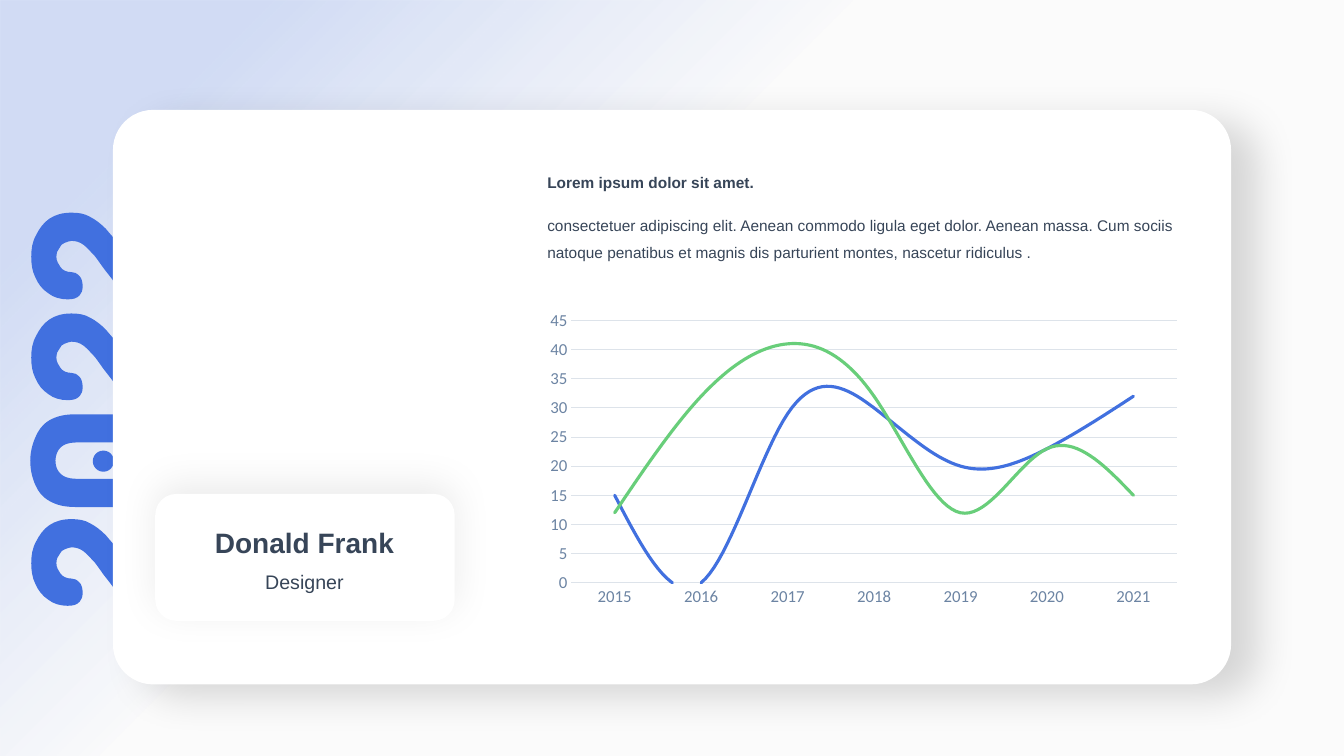
import lxml.etree
import pptx
import pptx.chart.data
import pptx.dml.color
import pptx.enum.chart
import pptx.enum.shapes
import pptx.enum.text
import pptx.oxml
import pptx.oxml.ns
import pptx.util

PX = 9144  # EMU in one px, 100 px to the inch
WIDTH, HEIGHT = 1333, 750
COLORS = {"back": "FBFBFB", "blue": "4170DF", "green": "68CE7A", "white": "FFFFFF",
          "ink": "374558", "axis": "6C84A3", "grid": "DDE3EA", "shadow": "000000"}
SHAPES = pptx.enum.shapes.MSO_SHAPE
ANCHOR = pptx.enum.text.MSO_ANCHOR
CENTER = pptx.enum.text.PP_ALIGN.CENTER
qn = pptx.oxml.ns.qn

# Outlines of the sideways digits: start point, then lines (2 numbers) or curves (6)
TWO = [[
    (31, 44), (31, 36, 32, 29, 36, 22), (39, 16, 43, 10, 49, 6), (55, 2, 62, 0, 71, 0),
    (78, 0, 84, 1, 89, 4), (95, 7, 100, 11, 105, 16), (109, 21, 113, 25, 117, 30),
    (120, 36, 124, 40, 127, 45), (130, 49, 133, 53, 135, 55), (138, 58, 141, 59, 144, 59),
    (147, 59), (147, 9), (147, 6, 148, 4, 150, 2), (153, 0, 156, 0, 159, 0),
    (162, 0, 165, 0, 168, 2), (170, 4, 172, 6, 172, 9), (172, 76),
    (172, 79, 171, 81, 169, 84), (167, 87, 165, 89, 162, 89), (144, 89),
    (139, 89, 134, 87, 129, 84), (125, 81, 120, 77, 116, 73), (113, 68, 109, 63, 105, 58),
    (101, 53, 98, 48, 94, 43), (90, 39, 87, 35, 83, 32), (79, 29, 75, 28, 71, 28),
    (69, 28, 67, 29, 64, 30), (62, 31, 60, 32, 59, 35), (57, 37, 56, 40, 56, 44),
    (56, 48, 58, 51, 60, 54), (62, 57, 66, 59, 71, 59), (74, 59, 76, 60, 79, 63),
    (81, 65, 82, 69, 82, 73), (82, 77, 81, 80, 79, 82), (76, 85, 73, 86, 67, 86),
    (60, 86, 53, 84, 48, 80), (42, 76, 38, 71, 35, 64), (32, 58, 31, 51, 31, 44),
]]
ZERO = [[
    (30, 46), (30, 38, 32, 30, 35, 23), (38, 16, 42, 10, 49, 6), (56, 2, 64, 0, 75, 0),
    (127, 0), (138, 0, 147, 2, 153, 6), (160, 10, 165, 16, 168, 23),
    (171, 30, 172, 38, 172, 46), (172, 55, 171, 63, 168, 70), (165, 76, 160, 82, 153, 86),
    (147, 90, 138, 92, 127, 92), (75, 92), (64, 92, 56, 90, 49, 86),
    (42, 82, 38, 77, 35, 70), (32, 63, 30, 55, 30, 46),
], [
    (55, 46), (55, 52, 57, 56, 60, 59), (63, 62, 68, 64, 75, 64), (127, 64),
    (134, 64, 139, 62, 143, 59), (146, 56, 147, 52, 147, 46), (147, 41, 146, 36, 142, 33),
    (139, 30, 134, 28, 127, 28), (75, 28), (68, 28, 63, 30, 60, 33), (57, 36, 55, 41, 55, 46),
]]


def rgb(name):
    return pptx.dml.color.RGBColor.from_string(COLORS[name])


def emu(*lengths):
    return [length * PX for length in lengths]


def paint(shape, color):
    shape.fill.solid()
    shape.fill.fore_color.rgb = rgb(color)
    shape.line.fill.background()
    shape.shadow.inherit = False


def add_block(page, kind, left, top, width, height, color):
    shape = page.shapes.add_shape(kind, *emu(left, top, width, height))
    paint(shape, color)
    return shape


def add_shadow(shape, alpha, blur, distance, angle):
    effects = shape._element.spPr.find(qn("a:effectLst"))
    effects.append(pptx.oxml.parse_xml(
        f'<a:outerShdw {pptx.oxml.ns.nsdecls("a")} blurRad="{blur * 12700}" '
        f'dist="{distance * 12700}" dir="{angle * 60000}" algn="ctr" rotWithShape="0">'
        f'<a:srgbClr val="{COLORS["shadow"]}"><a:alpha val="{alpha * 1000}"/></a:srgbClr>'
        f'</a:outerShdw>'))


def add_fade(page, stops, angle):
    """Cover the page with one colour whose opacity changes along the angle."""
    shape = add_block(page, SHAPES.RECTANGLE, 0, 0, WIDTH, HEIGHT, "blue")
    marks = "".join(
        f'<a:gs pos="{place * 1000}"><a:srgbClr val="{COLORS["blue"]}">'
        f'<a:alpha val="{alpha * 1000}"/></a:srgbClr></a:gs>' for place, alpha in stops)
    solid = shape._element.spPr.find(qn("a:solidFill"))
    solid.getparent().replace(solid, pptx.oxml.parse_xml(
        f'<a:gradFill {pptx.oxml.ns.nsdecls("a")}><a:gsLst>{marks}</a:gsLst>'
        f'<a:lin ang="{angle * 60000}" scaled="0"/></a:gradFill>'))


def add_digit(page, contours, top):
    """Build the outline from its end points, then bend the sides that are curves."""
    builder = page.shapes.build_freeform(*contours[0][0], scale=PX)
    for number, contour in enumerate(contours):
        if number:
            builder.move_to(*contour[0])
        builder.add_line_segments([segment[-2:] for segment in contour[1:]], close=True)
    shape = builder.convert_to_shape(0, top * PX)
    paint(shape, "blue")
    left = min(segment[-2] for segment in contours[0])
    segments = [segment for contour in contours for segment in contour[1:]]
    for side, segment in zip(list(shape._element.iter(qn("a:lnTo"))), segments):
        if len(segment) == 6:
            curve = lxml.etree.Element(qn("a:cubicBezTo"))
            for x, y in zip(segment[::2], segment[1::2]):
                lxml.etree.SubElement(curve, qn("a:pt"), x=str(x - left), y=str(y))
            side.getparent().replace(side, curve)


def add_box(page, left, top, width, height):
    return page.shapes.add_textbox(*emu(left, top, width, height))


def write(box, text, size, bold=False, align=None, spacing=1.0, before=0,
          anchor=ANCHOR.TOP, more=False):
    """Write one paragraph, as a further one when more is set."""
    frame = box.text_frame
    frame.word_wrap = True
    frame.auto_size = pptx.enum.text.MSO_AUTO_SIZE.SHAPE_TO_FIT_TEXT
    frame.vertical_anchor = anchor
    para = frame.add_paragraph() if more else frame.paragraphs[0]
    para.alignment = align
    para.line_spacing = spacing
    para.space_before = pptx.util.Pt(before)
    span = para.add_run()
    span.text = text
    span.font.name = "Arial"
    span.font.size = pptx.util.Pt(size)
    span.font.bold = bold
    span.font.color.rgb = rgb("ink")


def set_font(font, size, color):
    font.name = "Calibri"
    font.size = pptx.util.Pt(size)
    font.color.rgb = rgb(color)


def set_line(line, color, width):
    line.color.rgb = rgb(color)
    line.width = pptx.util.Pt(width)


def add_line_chart(page, left, top, width, height, years, rows):
    data = pptx.chart.data.CategoryChartData()
    data.categories = years
    for number, (values, _) in enumerate(rows, 1):
        data.add_series(f"Series {number}", values)
    chart = page.shapes.add_chart(pptx.enum.chart.XL_CHART_TYPE.LINE,
                                  *emu(left, top, width, height), data).chart
    chart.has_legend = chart.has_title = False
    set_font(chart.font, 10, "ink")
    for axis in (chart.category_axis, chart.value_axis):
        axis.major_tick_mark = axis.minor_tick_mark = pptx.enum.chart.XL_TICK_MARK.NONE
        set_font(axis.tick_labels.font, 12, "axis")
    set_line(chart.category_axis.format.line, "grid", 0.75)
    scale = chart.value_axis
    scale.minimum_scale, scale.maximum_scale, scale.major_unit = 0, 45, 5
    scale.format.line.fill.background()
    set_line(scale.major_gridlines.format.line, "grid", 0.75)
    chart.plots[0].vary_by_categories = False
    for series, (_, color) in zip(chart.plots[0].series, rows):
        series.smooth = True
        series.marker.style = pptx.enum.chart.XL_MARKER_STYLE.NONE
        set_line(series.format.line, color, 2.25)
        series.format.line._get_or_add_ln().set("cap", "rnd")


def main():
    deck = pptx.Presentation()
    deck.slide_width, deck.slide_height = emu(WIDTH, HEIGHT)
    page = deck.slides.add_slide(deck.slide_layouts[5])

    # Background and the sideways year
    page.background.fill.solid()
    page.background.fill.fore_color.rgb = rgb("back")
    add_fade(page, [(13, 22), (41, 0)], 45)
    for contours, top in ((TWO, 515), (ZERO, 411), (TWO, 311), (TWO, 211)):
        add_digit(page, contours, top)
    add_block(page, SHAPES.OVAL, 92, 447, 21, 21, "blue")

    # Main card
    card = add_block(page, SHAPES.ROUNDED_RECTANGLE, 112, 109, 1109, 570, "white")
    card.adjustments[0] = 0.07
    add_shadow(card, 14, 28, 22, 23)

    # Chart and its text
    add_line_chart(page, 533, 302, 647, 306, [str(year) for year in range(2015, 2022)],
                   [((15, 0, 29, 30, 20, 23, 32), "blue"),
                    ((12, 32, 41, 32, 12, 23, 15), "green")])
    intro = add_box(page, 533, 158, 647, 106)
    write(intro, "Lorem ipsum dolor sit amet.", 11, bold=True, spacing=1.5)
    write(intro, "consectetuer adipiscing elit. Aenean commodo ligula eget dolor. Aenean massa. "
          "Cum sociis natoque penatibus et magnis dis parturient montes, nascetur ridiculus .",
          11, spacing=1.5, before=10.4, more=True)

    # Name card
    badge = add_block(page, SHAPES.ROUNDED_RECTANGLE, 154, 490, 297, 126, "white")
    add_shadow(badge, 7, 28, 7, 272)
    title = page.shapes.title
    page.shapes._spTree.append(title._element)
    title.left, title.top, title.width, title.height = emu(165, 516, 274, 44)
    write(title, "Donald Frank", 20, bold=True, align=CENTER, anchor=ANCHOR.BOTTOM)
    write(add_box(page, 165, 549, 274, 42), "Designer", 14, align=CENTER, spacing=1.5)

    deck.save("out.pptx")


if __name__ == "__main__":
    main()
